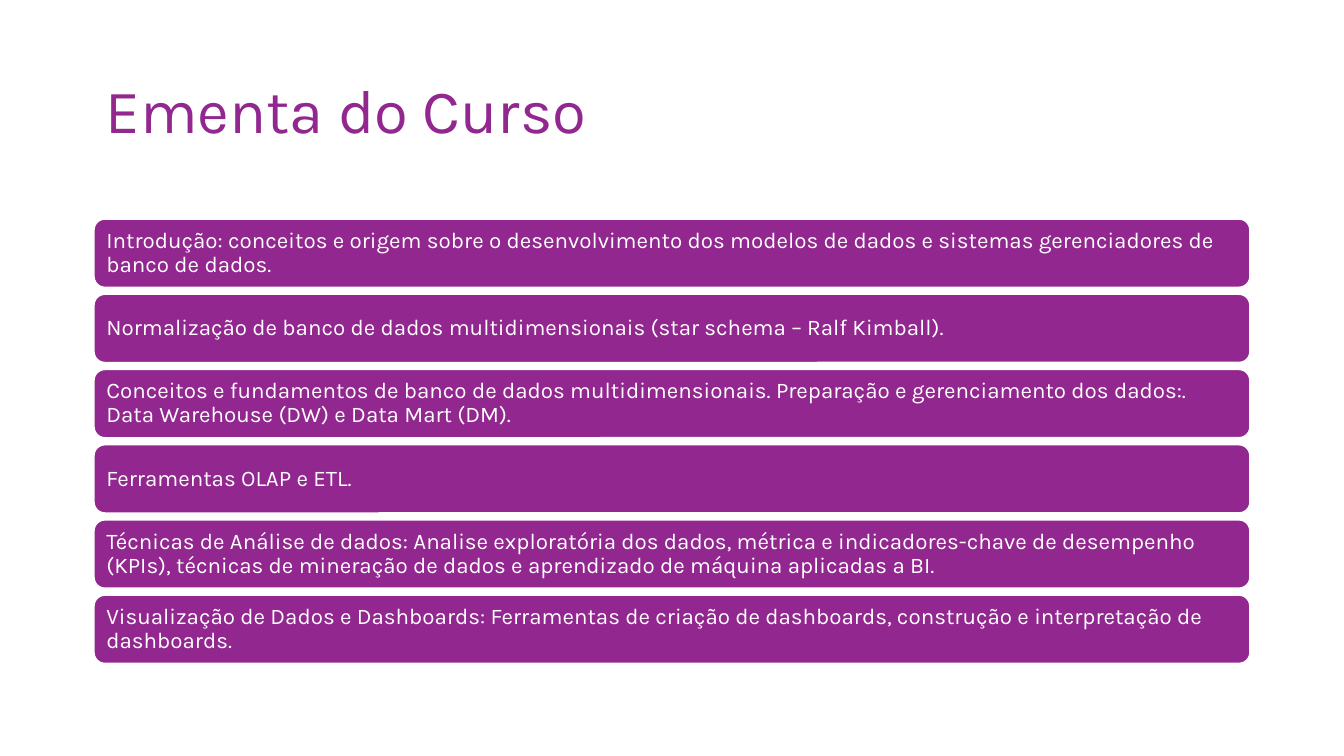
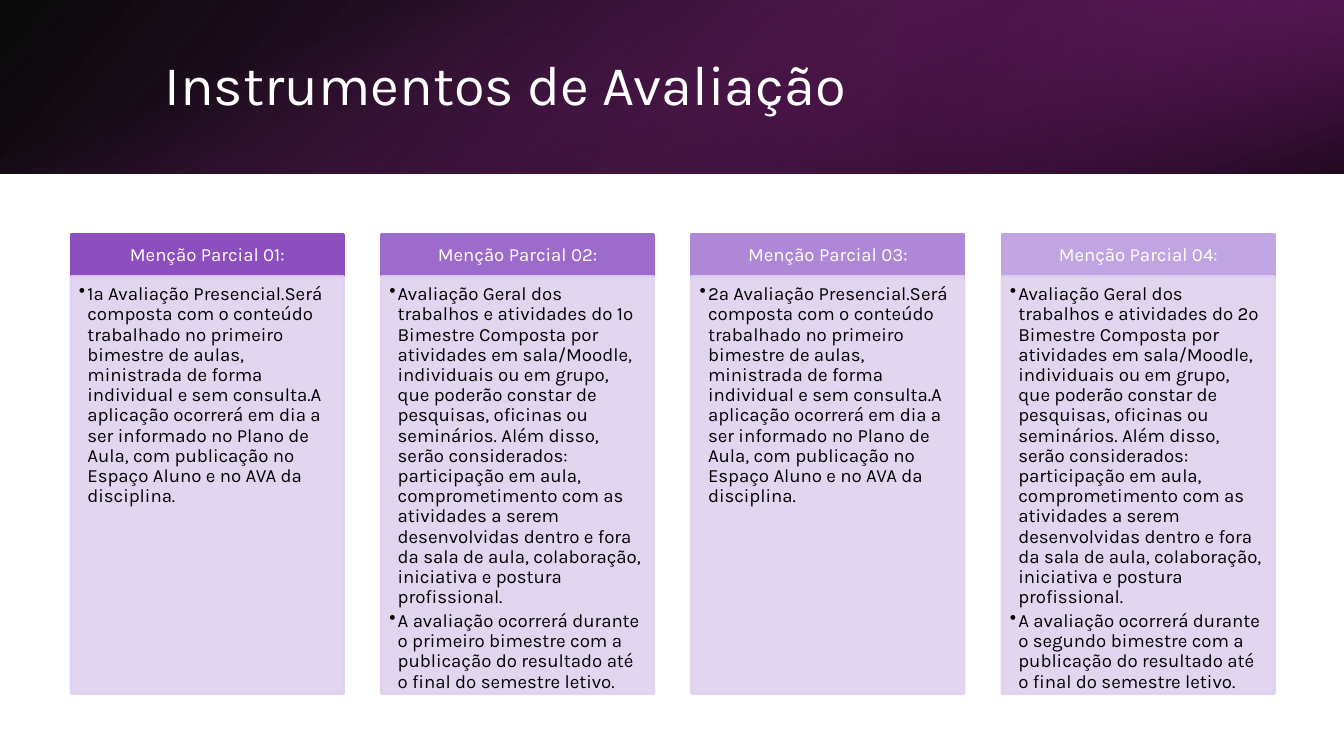
from lxml import etree
from pptx import Presentation
from pptx.dml.color import RGBColor
from pptx.enum.shapes import MSO_SHAPE
from pptx.enum.text import MSO_ANCHOR, PP_ALIGN
from pptx.oxml.ns import qn
from pptx.util import Pt

FONT = "Karla"
PURPLE = "92278F"
WHITE = "FFFFFF"
BLACK = "000000"
LILAC = "DED1EF"

TOPICS = [
    "Introdução: conceitos e origem sobre o desenvolvimento dos modelos de dados e sistemas "
    "gerenciadores de banco de dados.",
    "Normalização de banco de dados multidimensionais (star schema – Ralf Kimball).",
    "Conceitos e fundamentos de banco de dados multidimensionais. Preparação e gerenciamento "
    "dos dados:. Data Warehouse (DW) e Data Mart (DM).",
    "Ferramentas OLAP e ETL.",
    "Técnicas de Análise de dados: Analise exploratória dos dados, métrica e indicadores-chave "
    "de desempenho (KPIs), técnicas de mineração de dados e aprendizado de máquina aplicadas a BI.",
    "Visualização de Dados e Dashboards: Ferramentas de criação de dashboards, construção e "
    "interpretação de dashboards.",
]
EXAM = (
    "{}ª Avaliação Presencial.Será composta com o conteúdo trabalhado no primeiro bimestre de "
    "aulas, ministrada de forma individual e sem consulta.A aplicação ocorrerá em dia a ser "
    "informado no Plano de Aula, com publicação no Espaço Aluno e no AVA da disciplina."
)
COURSEWORK = (
    "Avaliação Geral dos trabalhos e atividades do {}º Bimestre Composta por atividades em "
    "sala/Moodle, individuais ou em grupo, que poderão constar de pesquisas, oficinas ou "
    "seminários. Além disso, serão considerados: participação em aula, comprometimento com as "
    "atividades a serem desenvolvidas dentro e fora da sala de aula, colaboração, iniciativa e "
    "postura profissional."
)
SCHEDULE = (
    "A avaliação ocorrerá durante o {} bimestre com a publicação do resultado até o final do "
    "semestre letivo."
)
GRADES = [
    ("8D4FBF", [EXAM.format(1)]),
    ("9D6BCC", [COURSEWORK.format(1), SCHEDULE.format("primeiro")]),
    ("AF87D7", [EXAM.format(2)]),
    ("C1A4E2", [COURSEWORK.format(2), SCHEDULE.format("segundo")]),
]


def rgb(code):
    """Turn a hex string into a colour."""
    return RGBColor.from_string(code)


def add_bullet(para):
    """Give a paragraph a hanging round bullet."""
    properties = para._p.get_or_add_pPr()
    properties.set("marL", str(Pt(4.5)))
    properties.set("indent", str(Pt(-4.5)))
    etree.SubElement(properties, qn("a:buChar")).set("char", "•")


def write(box, texts, size, color, insets, align=PP_ALIGN.LEFT, anchor=MSO_ANCHOR.MIDDLE, bullets=False):
    """Fill a box with one paragraph per text."""
    frame = box.text_frame
    frame.word_wrap = True
    frame.vertical_anchor = anchor
    frame.margin_left, frame.margin_top, frame.margin_right, frame.margin_bottom = map(Pt, insets)
    for index, text in enumerate(texts):
        para = frame.paragraphs[0] if index == 0 else frame.add_paragraph()
        if bullets:
            para.level = 1
            add_bullet(para)
            para.space_after = Pt(1.8)
        para.alignment = align
        para.line_spacing = 0.9
        span = para.add_run()
        span.text = text
        span.font.name = FONT
        span.font.size = Pt(size)
        span.font.color.rgb = rgb(color)


def add_title(page, text, area, size, color):
    """Add a slide title."""
    box = page.shapes.add_textbox(*map(Pt, area))
    write(box, [text], size, color, (7.2, 3.6, 7.2, 3.6))


def add_panel(page, kind, area, fill, line, opacity=100):
    """Add a filled and outlined shape."""
    panel = page.shapes.add_shape(kind, *map(Pt, area))
    panel.shadow.inherit = False
    panel.fill.solid()
    panel.fill.fore_color.rgb = rgb(fill)
    panel.line.color.rgb = rgb(line)
    panel.line.width = Pt(1.5)
    if opacity < 100:
        for color in panel.element.spPr.iter(qn("a:srgbClr")):
            etree.SubElement(color, qn("a:alpha")).set("val", str(opacity * 1000))
    return panel


def add_gradient(page, area, stops, angle, rotation=0, flip=False):
    """Add a rectangle with a translucent linear gradient."""
    layer = page.shapes.add_shape(MSO_SHAPE.RECTANGLE, *map(Pt, area))
    layer.shadow.inherit = False
    layer.line.fill.background()
    layer.rotation = rotation
    properties = layer.element.spPr
    if flip:
        properties.find(qn("a:xfrm")).set("flipH", "1")
    gradient = etree.Element(qn("a:gradFill"), rotWithShape="1")
    stop_list = etree.SubElement(gradient, qn("a:gsLst"))
    for position, code, opacity in stops:
        stop = etree.SubElement(stop_list, qn("a:gs"), pos=str(position * 1000))
        color = etree.SubElement(stop, qn("a:srgbClr"), val=code)
        etree.SubElement(color, qn("a:alpha"), val=str(opacity * 1000))
    etree.SubElement(gradient, qn("a:lin"), ang=str(angle * 60000), scaled="0")
    properties.find(qn("a:prstGeom")).addnext(gradient)


def add_header_band(page):
    """Layer the gradients of the dark header band."""
    add_gradient(page, (0, 0, 720, 93), [(0, BLACK, 96), (100, "6D1D6B", 100)], 140, flip=True)
    add_gradient(page, (480, 0, 240, 93), [(19, "491447", 68), (100, PURPLE, 79)], 320, 180, True)
    add_gradient(page, (313.5, -313.5, 93, 720), [(23, PURPLE, 0), (99, BLACK, 74)], 340, 90)


def add_topic(page, index, text):
    """Add one rounded bar of the syllabus."""
    area = (50, 117 + index * 40.3, 620, 37.3)
    bar = add_panel(page, MSO_SHAPE.ROUNDED_RECTANGLE, area, PURPLE, WHITE)
    write(bar, [text], 12, WHITE, (5.2, 5.2, 5.2, 5.2))


def add_grade(page, index, color, texts):
    """Add one column with a heading and a bulleted body."""
    left = 38 + index * 166.25
    head = add_panel(page, MSO_SHAPE.RECTANGLE, (left, 125.7, 146, 22.4), color, color)
    write(head, [f"Menção Parcial {index + 1:02}:"], 10, WHITE, (5.8, 2.9, 5.8, 2.9), PP_ALIGN.CENTER)
    body = add_panel(page, MSO_SHAPE.RECTANGLE, (left, 148.1, 146, 223.5), LILAC, LILAC, 90)
    write(body, texts, 10, BLACK, (4.3, 4.3, 5.8, 6.5), anchor=MSO_ANCHOR.TOP, bullets=True)


def main():
    """Build the deck."""
    deck = Presentation()
    deck.slide_width, deck.slide_height = Pt(720), Pt(405)
    blank = deck.slide_layouts[6]

    page = deck.slides.add_slide(blank)
    add_title(page, "Ementa do Curso", (49.5, 21.6, 621, 78.3), 33, PURPLE)
    for index, text in enumerate(TOPICS):
        add_topic(page, index, text)

    page = deck.slides.add_slide(blank)
    add_header_band(page)
    add_title(page, "Instrumentos de Avaliação", (81, 20.8, 593, 52), 30, WHITE)
    for index, (color, texts) in enumerate(GRADES):
        add_grade(page, index, color, texts)

    deck.save("out.pptx")


if __name__ == "__main__":
    main()
